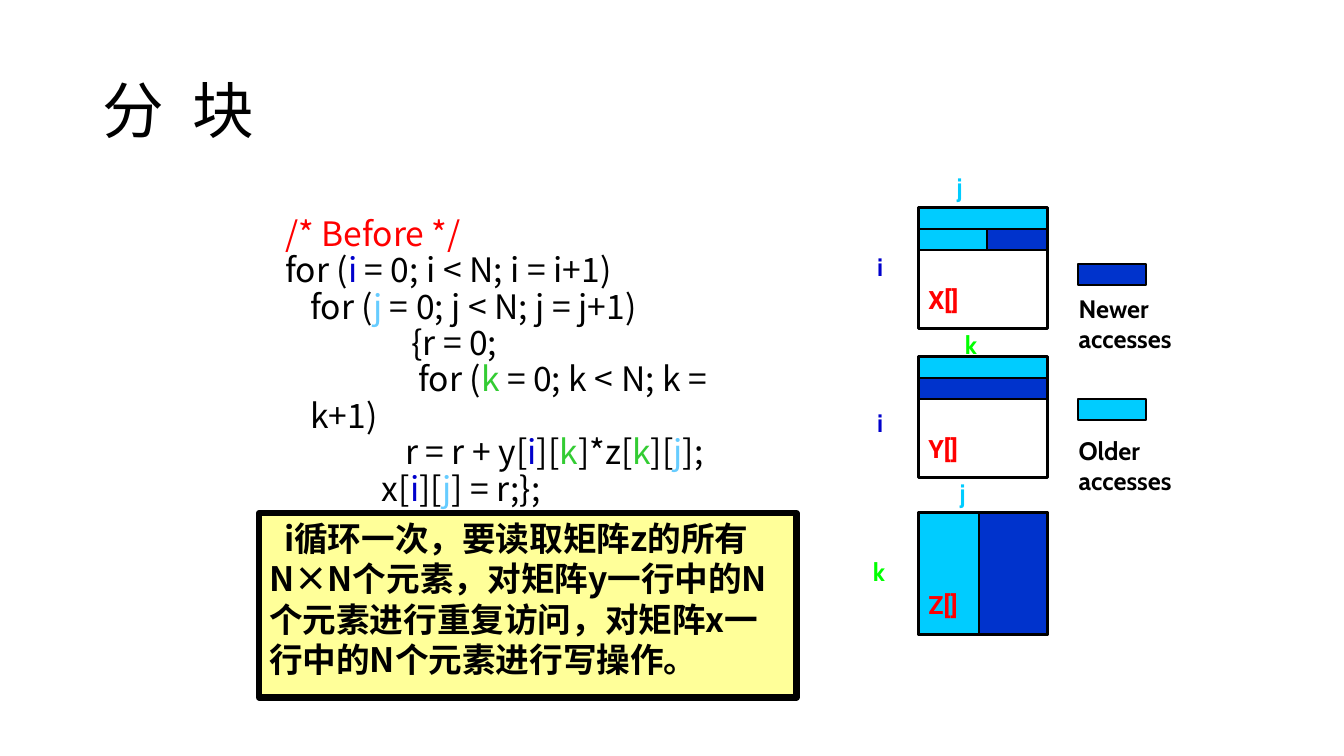
import pptx
import pptx.util
import pptx.dml.color
import pptx.enum.shapes
import pptx.enum.text
import pptx.oxml
import pptx.oxml.ns

Inches = pptx.util.Inches
Pt = pptx.util.Pt
ALIGN = pptx.enum.text.PP_ALIGN
ANCHOR = pptx.enum.text.MSO_ANCHOR
FIT = pptx.enum.text.MSO_AUTO_SIZE

HUES = {
    "black": "000000", "red": "FF0000", "note": "FFFF99",
    "old": "00CCFF", "new": "0033CC",
    "i": "0000CC", "j": "66CCFF", "k": "33CC33", "lime": "00FF00",
}
NOTO = "Noto Sans CJK SC"
HANG = 0.25
LEFT, WIDE, TALL, BAND, HALF = 9.11, 1.28, 1.2, 0.21, 0.68
ROWS = {"X": 2.06, "Y": 3.54, "Z": 5.09}

# Start of each line in inches; loop indices stand between tildes
CODE = [
    (0, "/* Before */", "red"),
    (0, "for (~i~ = 0; i < N; i = i+1)", "black"),
    (0.25, "for (~j~ = 0; j < N; j = j+1)", "black"),
    (1.25, "{r = 0;", "black"),
    (1.32, "for (~k~ = 0; k < N; k = k+1)", "black"),
    (1.19, "r = r + y[~i~][~k~]*z[~k~][~j~];", "black"),
    (0.96, "x[~i~][~j~] = r;};", "black"),
]
NOTE = ("i循环一次，要读取矩阵z的所有N×N个元素，对矩阵y一行中的N个元素"
        "进行重复访问，对矩阵x一行中的N个元素进行写操作。")


def rgb(hue):
    return pptx.dml.color.RGBColor.from_string(HUES[hue])


def style(run, size, hue, face=NOTO, bold=False):
    font = run.font
    font.size, font.bold, font.name = Pt(size), bold, face
    font.color.rgb = rgb(hue)
    east = pptx.oxml.parse_xml(
        f'<a:ea {pptx.oxml.ns.nsdecls("a")} typeface="{face}"/>')
    run._r.get_or_add_rPr().append(east)


def indent(para, margin, first):
    """Set the left margin and the first-line offset in inches."""
    props = para._p.get_or_add_pPr()
    props.set("marL", str(Inches(margin)))
    props.set("indent", str(Inches(first)))


def block(slide, left, top, width, height, fill=None, line=1.5):
    shape = slide.shapes.add_shape(
        pptx.enum.shapes.MSO_SHAPE.RECTANGLE,
        Inches(left), Inches(top), Inches(width), Inches(height))
    shape.shadow.inherit = False
    if fill:
        shape.fill.solid()
        shape.fill.fore_color.rgb = rgb(fill)
    else:
        shape.fill.background()
    shape.line.color.rgb = rgb("black")
    shape.line.width = Pt(line)
    return shape


def label(slide, text, left, top, width, hue, face="Cabin", height=0.4):
    box = slide.shapes.add_textbox(
        Inches(left), Inches(top), Inches(width), Inches(height))
    frame = box.text_frame
    frame.text = text
    frame.word_wrap = False
    frame.auto_size = FIT.SHAPE_TO_FIT_TEXT
    for para in frame.paragraphs:
        para.alignment = ALIGN.JUSTIFY if "\n" in text else ALIGN.LEFT
        style(para.runs[0], 18, hue, face, True)


def title(slide):
    shape = slide.shapes.title
    shape.left, shape.top = Inches(0.92), Inches(0.4)
    shape.width, shape.height = Inches(11.5), Inches(1.45)
    frame = shape.text_frame
    frame.vertical_anchor = ANCHOR.MIDDLE
    para = frame.paragraphs[0]
    para.alignment = ALIGN.LEFT
    para.line_spacing = 0.9
    for text in ("分", " ", "块"):
        run = para.add_run()
        run.text = text
        style(run, 44, "black")
    # Widen the gap between the two characters
    para.runs[1]._r.get_or_add_rPr().set("spc", "1000")


def code(slide):
    box = slide.shapes.add_textbox(
        Inches(2.73), Inches(2.1), Inches(5.08), Inches(3.12))
    frame = box.text_frame
    frame.word_wrap = True
    for row, (start, text, hue) in enumerate(CODE):
        para = frame.paragraphs[0] if row == 0 else frame.add_paragraph()
        para.line_spacing = Pt(26)
        indent(para, HANG, start - HANG)
        for part, piece in enumerate(text.split("~")):
            run = para.add_run()
            run.text = piece
            style(run, 24, piece if part % 2 else hue)


def note(slide):
    frame = block(slide, 2.57, 5.09, 5.33, 1.83, "note", 4.5).text_frame
    frame.text = NOTE
    frame.word_wrap = True
    frame.vertical_anchor = ANCHOR.TOP
    para = frame.paragraphs[0]
    para.alignment = ALIGN.LEFT
    para.line_spacing = Pt(28.8)
    indent(para, 0, 0.15)
    style(para.runs[0], 24, "black", bold=True)


def grids(slide):
    """Draw the three matrices with their accessed parts."""
    for top in ROWS.values():
        block(slide, LEFT, top, WIDE, TALL, line=2.25)
    right = LEFT + WIDE - HALF
    x, y, z = ROWS.values()
    for left, top, width, height, fill in [
        (LEFT, x, WIDE, BAND, "old"),
        (right, x + BAND, HALF, BAND, "new"),
        (LEFT, x + BAND, HALF, BAND, "old"),
        (LEFT, y, WIDE, BAND, "old"),
        (LEFT, y + BAND, WIDE, BAND, "new"),
        (LEFT, z, HALF, TALL, "old"),
        (right, z, HALF, TALL, "new"),
    ]:
        block(slide, left, top, width, height, fill)
    for name, top in ROWS.items():
        label(slide, f"{name}[]", LEFT, top + 0.71, 0.65, "red", "Roboto")
    for text, left, top, width, hue in [
        ("j", 9.39, 1.65, 0.29, "old"), ("i", 8.6, 2.44, 0.28, "i"),
        ("k", 9.47, 3.22, 0.35, "lime"), ("i", 8.6, 3.99, 0.28, "i"),
        ("j", 9.42, 4.69, 0.29, "old"), ("k", 8.56, 5.47, 0.35, "lime"),
    ]:
        label(slide, text, left, top, width, hue)


def legend(slide):
    for word, fill, top, below in [
        ("Newer", "new", 2.62, 2.86), ("Older", "old", 3.96, 4.27),
    ]:
        block(slide, 10.69, top, HALF, BAND, fill)
        label(slide, f"{word}\naccesses", 10.6, below, 1.3, "black",
              height=0.7)


def main():
    deck = pptx.Presentation()
    deck.slide_width, deck.slide_height = Inches(13.33), Inches(7.5)
    slide = deck.slides.add_slide(deck.slide_layouts[5])
    title(slide)
    code(slide)
    note(slide)
    grids(slide)
    legend(slide)
    deck.save("out.pptx")


if __name__ == "__main__":
    main()
